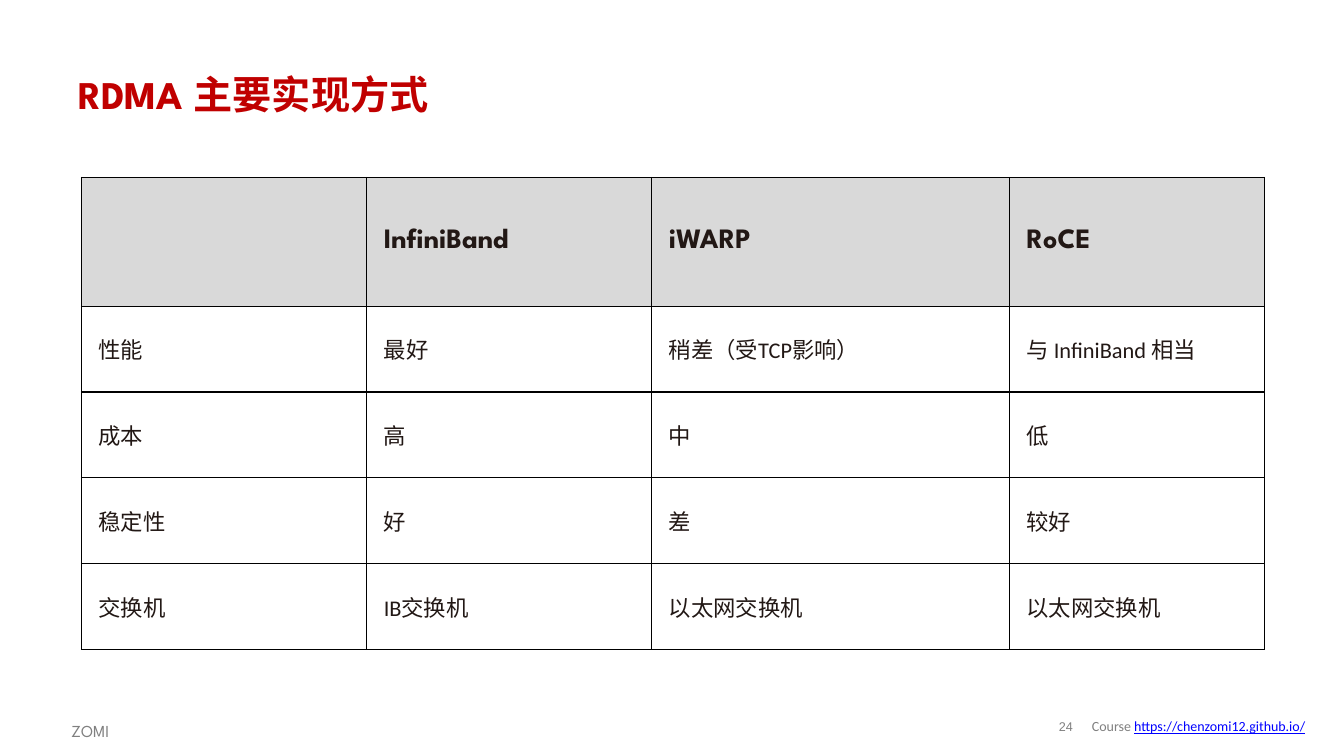
from dataclasses import dataclass

from lxml import etree
from pptx import Presentation
from pptx import util as u
from pptx.dml.color import RGBColor
from pptx.enum import text
from pptx.oxml.ns import qn


@dataclass(frozen=True)
class Theme:
    title: str = "C00000"
    ink: str = "221815"
    muted: str = "808080"
    link: str = "0000FF"
    header_fill: str = "D9D9D9"
    body_fill: str = "FFFFFF"
    border: str = "000000"
    display: str = "League Spartan"
    body: str = "Calibri"
    number: str = "Arial"
    title_size: float = 28
    header_size: float = 20
    body_size: float = 16
    author_size: float = 12
    course_size: float = 10
    number_size: float = 9


THEME = Theme()
MIDDLE = text.MSO_ANCHOR.MIDDLE

COLUMN_WIDTHS = [2.83, 2.83, 3.55, 2.53]
ROW_HEIGHTS = [1.28] + [0.85] * 4
COMPARISON = [
    ["", "InfiniBand", "iWARP", "RoCE"],
    ["性能", "最好", "稍差（受TCP影响）", "与 InfiniBand 相当"],
    ["成本", "高", "中", "低"],
    ["稳定性", "好", "差", "较好"],
    ["交换机", "IB交换机", "以太网交换机", "以太网交换机"],
]


def add_run(p, words, font, size, color, bold=False, underline=None):
    r = p.add_run()
    r.text = words
    r.font.name = font
    r.font.size = u.Pt(size)
    r.font.bold = bold
    r.font.underline = underline
    r.font.color.rgb = RGBColor.from_string(color)


def add_text_box(s, box, anchor=MIDDLE):
    tf = s.shapes.add_textbox(*map(u.Inches, box)).text_frame
    tf.word_wrap = True
    tf.vertical_anchor = anchor
    return tf


def set_borders(cell, color, width):
    tc_pr = cell._tc.get_or_add_tcPr()
    for position, side in enumerate(("a:lnL", "a:lnR", "a:lnT", "a:lnB")):
        ln = etree.Element(qn(side), w=str(u.Pt(width)))
        fill = etree.SubElement(ln, qn("a:solidFill"))
        etree.SubElement(fill, qn("a:srgbClr"), val=color)
        tc_pr.insert(position, ln)


# Title line
def add_title(s, box):
    p = add_text_box(s, box).paragraphs[0]
    add_run(p, "RDMA 主要实现方式", THEME.display, THEME.title_size, THEME.title, bold=True)


# Comparison table: grey header row, white body rows
def add_comparison(s, box):
    frame = s.shapes.add_table(len(ROW_HEIGHTS), len(COLUMN_WIDTHS), *map(u.Inches, box))
    table = frame.table
    for column, width in zip(table.columns, COLUMN_WIDTHS):
        column.width = u.Inches(width)
    for row, height in zip(table.rows, ROW_HEIGHTS):
        row.height = u.Inches(height)
    for i, row in enumerate(COMPARISON):
        header = i == 0
        for j, words in enumerate(row):
            cell = table.cell(i, j)
            cell.fill.solid()
            fill = THEME.header_fill if header else THEME.body_fill
            cell.fill.fore_color.rgb = RGBColor.from_string(fill)
            cell.vertical_anchor = MIDDLE
            cell.margin_left = cell.margin_right = u.Inches(0.17)
            cell.margin_top = cell.margin_bottom = u.Inches(0.04 if header else 0.08)
            set_borders(cell, THEME.border, 1)
            if words:
                add_run(cell.text_frame.paragraphs[0], words,
                        THEME.display if header else THEME.body,
                        THEME.header_size if header else THEME.body_size,
                        THEME.ink, bold=header)


# Footer: author on the left, page number and course address on the right
def add_footer(s, box):
    left, top, width, height = box
    right = left + width

    p = add_text_box(s, (left, top, 0.8, height), text.MSO_ANCHOR.TOP).paragraphs[0]
    p.line_spacing = 1.2
    add_run(p, "ZOMI", THEME.display, THEME.author_size, THEME.muted)

    tf = add_text_box(s, (right - 2.8, top, 0.36, height))
    tf.margin_left = tf.margin_right = tf.margin_top = tf.margin_bottom = 0
    p = tf.paragraphs[0]
    p.alignment = text.PP_ALIGN.CENTER
    p.line_spacing = 0.85
    add_run(p, "24", THEME.number, THEME.number_size, THEME.muted)

    p = add_text_box(s, (right - 2.46, top, 2.46, 0.29)).paragraphs[0]
    add_run(p, "Course ", THEME.body, THEME.course_size, THEME.muted)
    add_run(p, "https://chenzomi12.github.io/", THEME.body, THEME.course_size,
            THEME.link, underline=True)


def main():
    prs = Presentation()
    prs.slide_width, prs.slide_height = u.Inches(13.34), u.Inches(7.5)
    s = prs.slides.add_slide(prs.slide_layouts[6])
    add_footer(s, (0.61, 7.06, 12.59, 0.31))
    add_title(s, (0.68, 0.61, 11.99, 0.64))
    add_comparison(s, (0.81, 1.76, sum(COLUMN_WIDTHS), sum(ROW_HEIGHTS)))
    prs.save("out.pptx")


if __name__ == "__main__":
    main()
